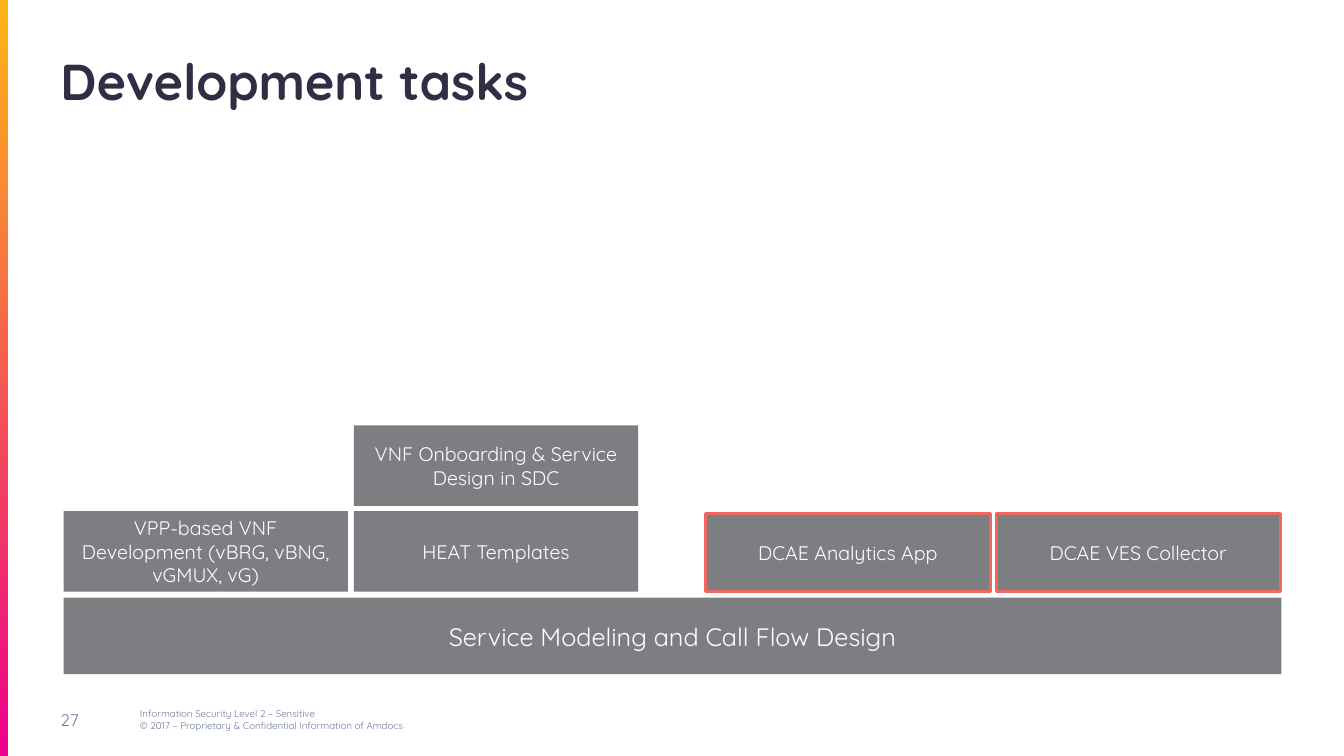
import pptx
import pptx.dml.color
import pptx.enum.shapes
import pptx.enum.text
import pptx.util
from pptx.util import Inches

RGBColor = pptx.dml.color.RGBColor
PP_ALIGN = pptx.enum.text.PP_ALIGN
MSO_ANCHOR = pptx.enum.text.MSO_ANCHOR

FONT = "Quicksand"
NAVY = RGBColor(0x30, 0x2E, 0x45)
SLATE = RGBColor(0x6E, 0x7C, 0xA0)
GRAY = RGBColor(0x7C, 0x7E, 0x81)
WHITE = RGBColor(0xFF, 0xFF, 0xFF)
CORAL = RGBColor(0xF2, 0x66, 0x5F)
AMBER = RGBColor(0xFD, 0xB5, 0x15)
MAGENTA = RGBColor(0xEC, 0x00, 0x8C)

COLUMN_STEP = 2.88
TASK_WIDTH = 2.82
LEFT_GROUP = 0.63
RIGHT_GROUP = 7.0


def write_text(shape, text, size, color, anchor, align=PP_ALIGN.LEFT, bold=False):
    text_frame = shape.text_frame
    text_frame.word_wrap = True
    text_frame.auto_size = pptx.enum.text.MSO_AUTO_SIZE.NONE
    text_frame.vertical_anchor = anchor
    text_frame.text = text
    for paragraph in text_frame.paragraphs:
        paragraph.alignment = align
        for run in paragraph.runs:
            run.font.name = FONT
            run.font.size = pptx.util.Pt(size)
            run.font.bold = bold
            run.font.color.rgb = color


def add_rectangle(slide, left, top, width, height):
    shape = slide.shapes.add_shape(
        pptx.enum.shapes.MSO_SHAPE.RECTANGLE,
        Inches(left), Inches(top), Inches(width), Inches(height))
    shape.shadow.inherit = False
    shape.line.fill.background()
    return shape


def add_side_strip(slide):
    strip = add_rectangle(slide, 0, 0, 0.08, 7.5)
    strip.fill.gradient()
    strip.fill.gradient_angle = 270
    for stop, color in zip(strip.fill.gradient_stops, (AMBER, MAGENTA)):
        stop.color.rgb = color


def add_footer_text(slide, text, left, width, size):
    box = slide.shapes.add_textbox(
        Inches(left), Inches(6.94), Inches(width), Inches(0.4))
    write_text(box, text, size, SLATE, MSO_ANCHOR.MIDDLE)
    return box


def set_title(slide, text):
    title = slide.shapes.title
    title.left, title.top = Inches(0.6), Inches(0.49)
    title.width, title.height = Inches(12.13), Inches(0.61)
    text_frame = title.text_frame
    text_frame.margin_left = text_frame.margin_right = 0
    text_frame.margin_top = text_frame.margin_bottom = 0
    write_text(title, text, 36, NAVY, MSO_ANCHOR.BOTTOM, bold=True)


def add_block(slide, text, left, top, width, height, size=14, outlined=False):
    block = add_rectangle(slide, left, top, width, height)
    block.fill.solid()
    block.fill.fore_color.rgb = GRAY
    if outlined:
        block.line.color.rgb = CORAL
        block.line.width = pptx.util.Pt(2.25)
    write_text(block, text, size, WHITE, MSO_ANCHOR.MIDDLE, PP_ALIGN.CENTER)


def main():
    presentation = pptx.Presentation()
    presentation.slide_width = Inches(13.33)
    presentation.slide_height = Inches(7.5)
    slide = presentation.slides.add_slide(presentation.slide_layouts[5])

    add_footer_text(
        slide,
        "Information Security Level 2 – Sensitive\v"
        "© 2017 – Proprietary & Confidential Information of Amdocs",
        1.29, 4.5, 7)
    page_number = add_footer_text(slide, "27", 0.6, 0.69, 12)
    page_number.text_frame.margin_left = 0
    add_side_strip(slide)
    set_title(slide, "Development tasks")

    add_block(slide, "Service Modeling and Call Flow Design",
              LEFT_GROUP, 5.93, 12.08, 0.76, size=18)
    tasks = [
        ("VPP-based VNF Development (vBRG, vBNG, vGMUX, vG)", 0, 5.07),
        ("HEAT Templates", 1, 5.07),
        ("VNF Onboarding & Service Design in SDC", 1, 4.22),
    ]
    for text, column, top in tasks:
        add_block(slide, text, LEFT_GROUP + column * COLUMN_STEP, top,
                  TASK_WIDTH, 0.8)
    for column, text in enumerate(("DCAE Analytics App", "DCAE VES Collector")):
        add_block(slide, text, RIGHT_GROUP + column * COLUMN_STEP, 5.09,
                  TASK_WIDTH, 0.78, outlined=True)

    presentation.save("out.pptx")


if __name__ == "__main__":
    main()
